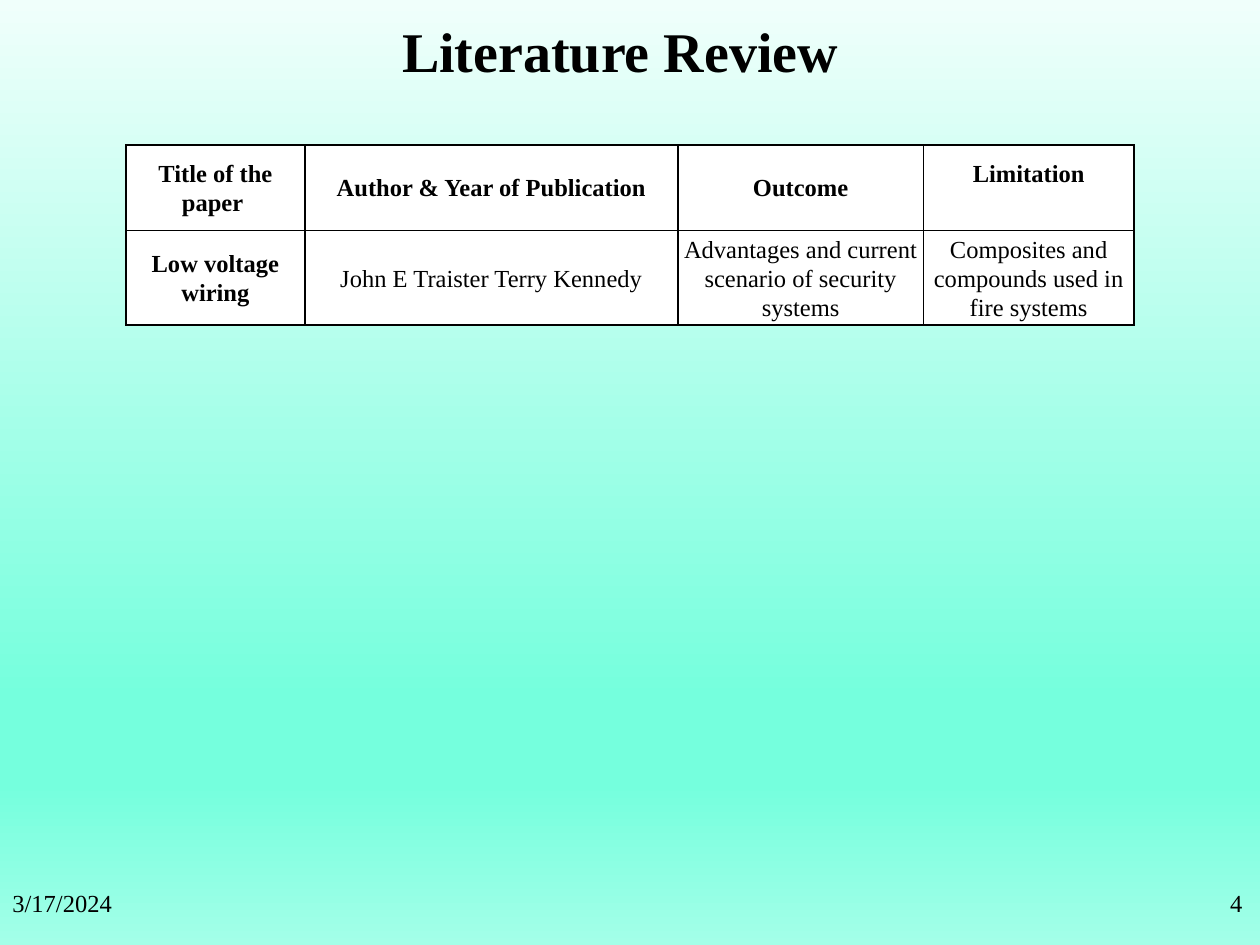
from lxml.etree import SubElement as Sub
from pptx import Presentation as Deck
from pptx.dml.color import RGBColor as RGB
from pptx.enum.text import MSO_ANCHOR as Anchor, PP_ALIGN as Align
from pptx.oxml.ns import qn
from pptx.util import Pt

BLACK = RGB(0x00, 0x00, 0x00)
WHITE = RGB(0xFF, 0xFF, 0xFF)
PALE = RGB(0xF0, 0xFF, 0xFB)
MINT = RGB(0x75, 0xFF, 0xDD)
SOFT = RGB(0xA3, 0xFF, 0xE8)
STOPS = [(0, PALE), (74, MINT), (83, MINT), (100, SOFT)]
WIDTHS = [102.24, 213.12, 140.4, 120.24]
HEIGHTS = [48.96, 54]
ROWS = [
    ["Title of the paper ", "Author & Year of Publication", "Outcome", "Limitation"],
    ["Low voltage wiring", "John E Traister Terry Kennedy",
     "Advantages and current scenario of security systems",
     "Composites and compounds used in fire systems"],
]


def apply(item, form):
    """Set each attribute named in a format dict."""
    for key, value in form.items():
        setattr(item, key, value)


def write(frame, text, size=14, bold=False, align=Align.LEFT, space=1.0):
    """Fill a text frame with one formatted paragraph."""
    frame.text = text
    para = frame.paragraphs[0]
    apply(para, {"alignment": align, "line_spacing": space})
    font = para.runs[0].font
    apply(font, {"name": "Times New Roman", "size": Pt(size), "bold": bold})
    font.color.rgb = BLACK


def paint(slide):
    """Give the slide its vertical gradient."""
    fill = slide.background.fill
    fill.gradient()
    fill.gradient_angle = 270
    stops = slide.element.find(".//" + qn("a:gsLst"))
    for stop in list(stops):
        stops.remove(stop)
    for place, tone in STOPS:
        stop = Sub(stops, qn("a:gs"), pos=str(place * 1000))
        Sub(stop, qn("a:srgbClr"), val=str(tone))


def head(slide, left, top, width, height):
    """Place the slide title."""
    title = slide.shapes.title
    apply(title, {"left": Pt(left), "top": Pt(top),
                  "width": Pt(width), "height": Pt(height)})
    frame = title.text_frame
    apply(frame, {"word_wrap": True, "vertical_anchor": Anchor.TOP})
    write(frame, "Literature Review ", 32, True, Align.CENTER)


def foot(slide, left, top, width, height):
    """Place the date and page number at the ends of a strip."""
    wide = 150
    parts = [("3/17/2024", left, Align.LEFT),
             ("4", left + width - wide, Align.RIGHT)]
    for text, start, align in parts:
        box = slide.shapes.add_textbox(Pt(start), Pt(top), Pt(wide), Pt(height))
        box.text_frame.word_wrap = True
        write(box.text_frame, text, align=align)


def edge(cell):
    """Draw black lines on all four sides of a cell."""
    props = cell._tc.get_or_add_tcPr()
    for spot, side in enumerate(("lnL", "lnR", "lnT", "lnB")):
        line = Sub(props, qn("a:" + side), w=str(Pt(1)))
        Sub(Sub(line, qn("a:solidFill")), qn("a:srgbClr"), val=str(BLACK))
        props.insert(spot, line)


def review(slide, left, top):
    """Place the table of reviewed papers."""
    table = slide.shapes.add_table(
        len(HEIGHTS), len(WIDTHS), Pt(left), Pt(top),
        Pt(sum(WIDTHS)), Pt(sum(HEIGHTS))).table
    for col, width in zip(table.columns, WIDTHS):
        col.width = Pt(width)
    for row, height in zip(table.rows, HEIGHTS):
        row.height = Pt(height)
    form = {"vertical_anchor": Anchor.MIDDLE, "margin_left": Pt(1.44),
            "margin_right": Pt(1.44), "margin_top": 0, "margin_bottom": 0}
    for r, texts in enumerate(ROWS):
        for c, text in enumerate(texts):
            cell = table.cell(r, c)
            apply(cell, form)
            cell.fill.solid()
            cell.fill.fore_color.rgb = WHITE
            edge(cell)
            write(cell.text_frame, text, bold=r == 0 or c == 0,
                  align=Align.CENTER, space=1.07)
    table.cell(0, 3).margin_bottom = Pt(16.5)


def main():
    """Build and save the slide."""
    deck = Deck()
    apply(deck, {"slide_width": Pt(720), "slide_height": Pt(540)})
    slide = deck.slides.add_slide(deck.slide_layouts[5])
    paint(slide)
    head(slide, 0, 5.76, 717, 46)
    foot(slide, 0, 504, 717, 36)
    review(slide, 72, 82.8)
    deck.save("out.pptx")


if __name__ == "__main__":
    main()
